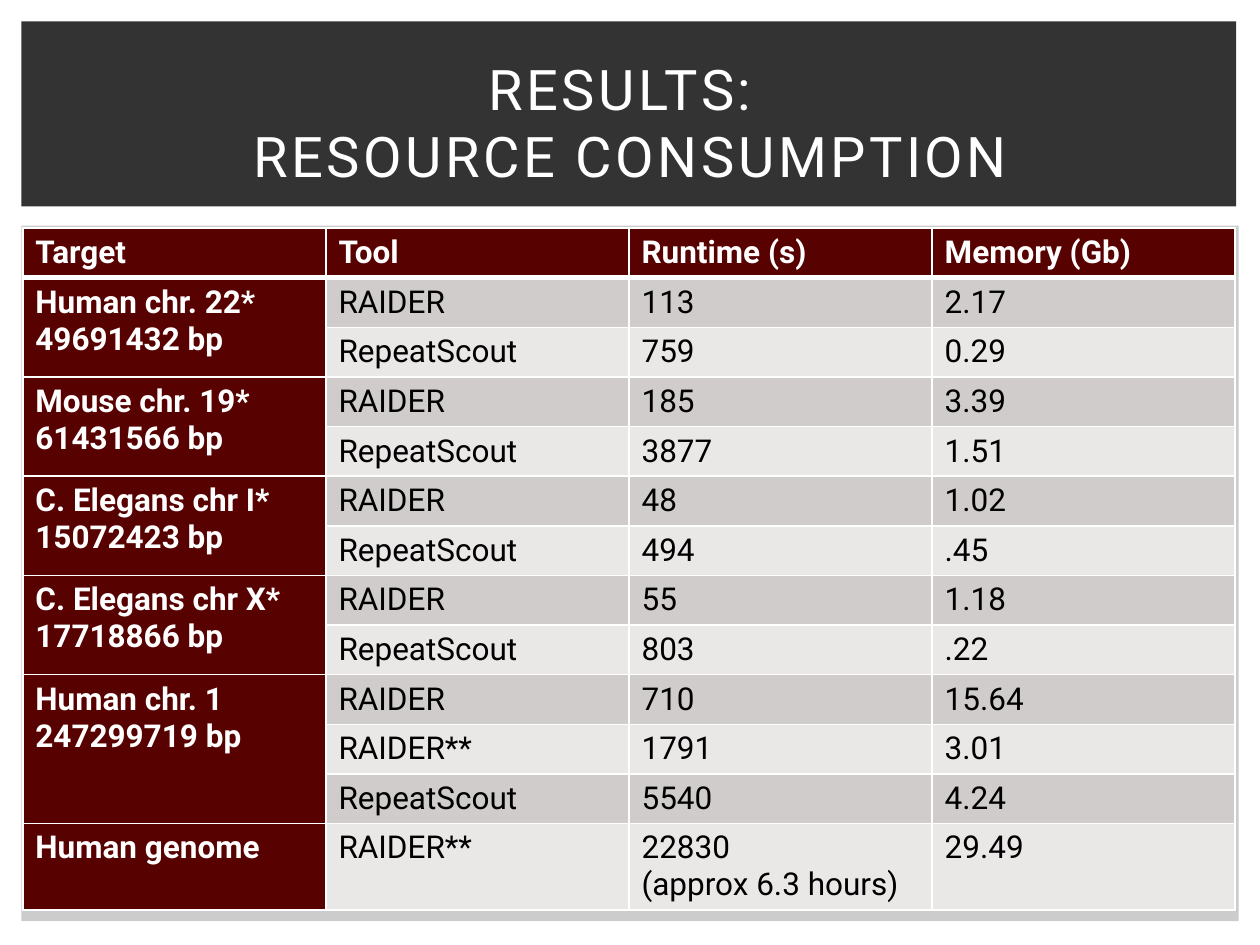
from copy import deepcopy
from dataclasses import dataclass

from pptx import Presentation
from pptx.dml.color import RGBColor
from pptx.enum.shapes import MSO_SHAPE
from pptx.enum.text import MSO_ANCHOR, PP_ALIGN
from pptx.oxml.ns import qn
from pptx.util import Cm, Pt
from lxml.etree import SubElement

# Content: \v is a line break inside a paragraph
TITLE = "RESULTS: \vRESOURCE CONSUMPTION"
HEADER = ["Target", "Tool", "Runtime (s)", "Memory (Gb)"]
RESULTS = [
    (["Human chr. 22*", "49691432 bp"],
     [("RAIDER", "113", "2.17"), ("RepeatScout", "759", "0.29")]),
    (["Mouse chr. 19*", "61431566 bp"],
     [("RAIDER", "185", "3.39"), ("RepeatScout", "3877", "1.51")]),
    (["C. Elegans chr I*", "15072423 bp"],
     [("RAIDER", "48", "1.02"), ("RepeatScout", "494", ".45")]),
    (["C. Elegans chr X*", "17718866 bp"],
     [("RAIDER", "55", "1.18"), ("RepeatScout", "803", ".22")]),
    (["Human chr. 1", "247299719 bp"],
     [("RAIDER", "710", "15.64"), ("RAIDER**", "1791", "3.01"),
      ("RepeatScout", "5540", "4.24")]),
    (["Human genome"],
     [("RAIDER**", "22830\n(approx 6.3 hours)", "29.49")]),
]


@dataclass(frozen=True)
class Theme:
    font: str = "Roboto"
    title_size: int = 32
    table_size: int = 18
    light: str = "FFFFFF"
    dark: str = "000000"
    banner: str = "333333"
    panel: str = "CCCCCC"
    accent: str = "580101"
    bands: tuple = ("EAE7E7", "D1CCCC")  # even rows, odd rows


THEME = Theme()
COLUMN_WIDTH, ROW_HEIGHT, LAST_ROW_HEIGHT = Cm(6.11), Cm(1), Cm(1.73)


def write_text(frame, lines, size=THEME.table_size, color=THEME.dark,
               bold=False, align=PP_ALIGN.LEFT, spacing=0):
    """Write one paragraph per line; spacing is in points between letters."""
    for index, line in enumerate(lines):
        paragraph = frame.add_paragraph() if index else frame.paragraphs[0]
        paragraph.text = line
        paragraph.alignment = align
        for run in paragraph.runs:
            run.font.name = THEME.font
            run.font.size = Pt(size)
            run.font.bold = bold
            run.font.color.rgb = RGBColor.from_string(color)
            properties = run.font._element
            if spacing:
                properties.set("spc", str(spacing * 100))
            for line_break in run._r.getparent().findall(qn("a:br")):
                if len(line_break) == 0:
                    line_break.append(deepcopy(properties))


def add_block(slide, left, top, width, height, color):
    shape = slide.shapes.add_shape(MSO_SHAPE.RECTANGLE, left, top, width, height)
    shape.shadow.inherit = False
    shape.fill.solid()
    shape.fill.fore_color.rgb = RGBColor.from_string(color)
    shape.line.fill.background()


def format_cell(cell, color, top=1, bottom=1):
    """Give the cell white borders (widths in points) and a solid fill."""
    properties = cell._tc.get_or_add_tcPr()
    for side, width in (("L", 1), ("R", 1), ("T", top), ("B", bottom)):
        border = SubElement(properties, qn(f"a:ln{side}"), w=str(Pt(width)))
        fill = SubElement(border, qn("a:solidFill"))
        SubElement(fill, qn("a:srgbClr"), val=THEME.light)
    cell.fill.solid()
    cell.fill.fore_color.rgb = RGBColor.from_string(color)


def add_results_table(slide, left, top):
    row_count = 1 + sum(len(runs) for _, runs in RESULTS)
    column_count = len(HEADER)
    height = ROW_HEIGHT * (row_count - 1) + LAST_ROW_HEIGHT
    table = slide.shapes.add_table(row_count, column_count, left, top,
                                   COLUMN_WIDTH * column_count, height).table
    for column in table.columns:
        column.width = COLUMN_WIDTH
    for row in table.rows:
        row.height = ROW_HEIGHT
    table.rows[row_count - 1].height = LAST_ROW_HEIGHT

    # Fills and borders: header row and target column share the accent
    for r in range(row_count):
        for c in range(column_count):
            color = THEME.accent if r == 0 or c == 0 else THEME.bands[r % 2]
            format_cell(table.cell(r, c), color,
                        top=3 if r == 1 else 1, bottom=3 if r == 0 else 1)

    # Text: each target spans the rows of its runs
    heading = {"color": THEME.light, "bold": True}
    for c, label in enumerate(HEADER):
        write_text(table.cell(0, c).text_frame, [label], **heading)
    first = 1
    for target, runs in RESULTS:
        cell = table.cell(first, 0)
        if len(runs) > 1:
            cell.merge(table.cell(first + len(runs) - 1, 0))
        write_text(cell.text_frame, target, **heading)
        for r, values in enumerate(runs, first):
            for c, value in enumerate(values, 1):
                write_text(table.cell(r, c).text_frame, value.split("\n"))
        first += len(runs)


def main():
    presentation = Presentation()
    presentation.slide_width, presentation.slide_height = Cm(25.4), Cm(19.05)
    slide = presentation.slides.add_slide(presentation.slide_layouts[5])

    # Background blocks
    add_block(slide, Cm(0.43), Cm(4.55), Cm(24.54), Cm(14.02), THEME.panel)
    add_block(slide, Cm(0.43), Cm(0.43), Cm(24.49), Cm(3.73), THEME.banner)

    add_results_table(slide, Cm(0.46), Cm(4.6))

    # Title, brought in front of the banner
    title = slide.shapes.title
    slide.shapes.element.append(title.element)
    title.left, title.top = Cm(1.07), Cm(0.99)
    title.width, title.height = Cm(23.29), Cm(2.92)
    title.text_frame.vertical_anchor = MSO_ANCHOR.MIDDLE
    write_text(title.text_frame, [TITLE], size=THEME.title_size,
               color=THEME.light, align=PP_ALIGN.CENTER, spacing=2)

    presentation.save("out.pptx")


if __name__ == "__main__":
    main()
